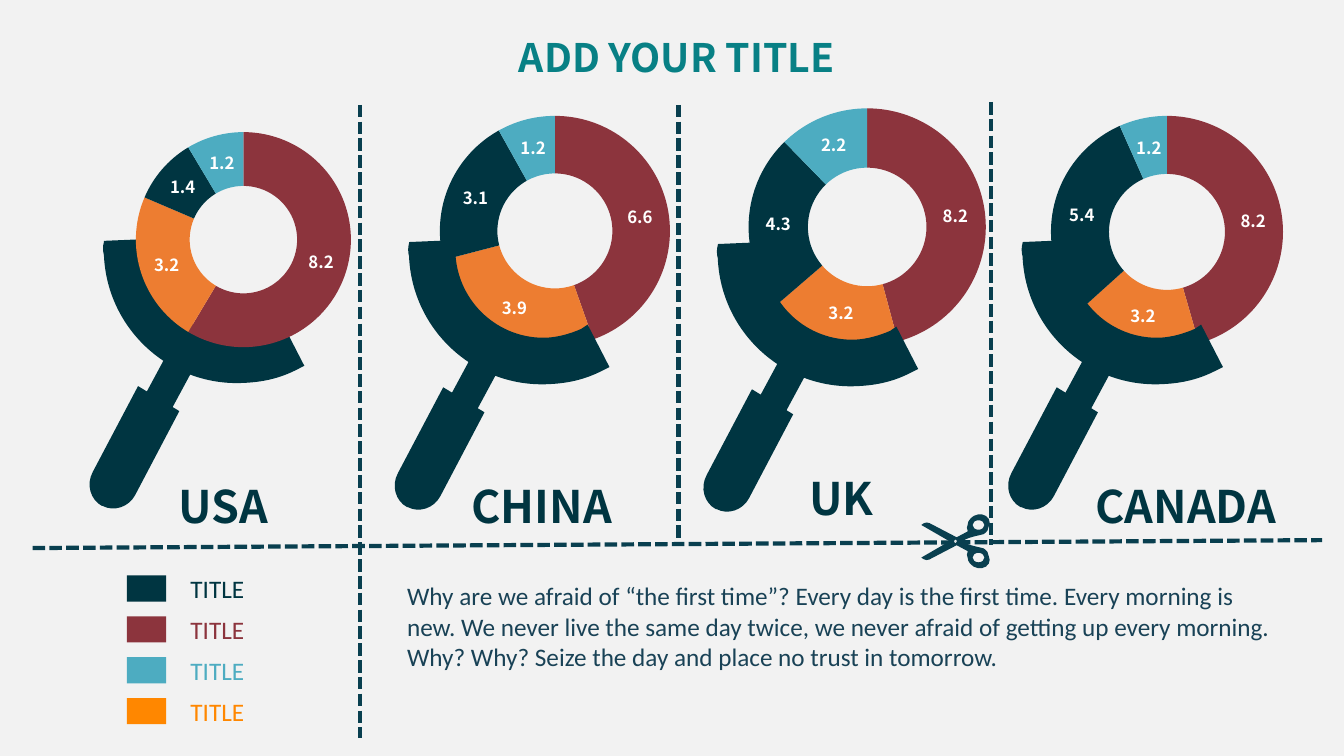
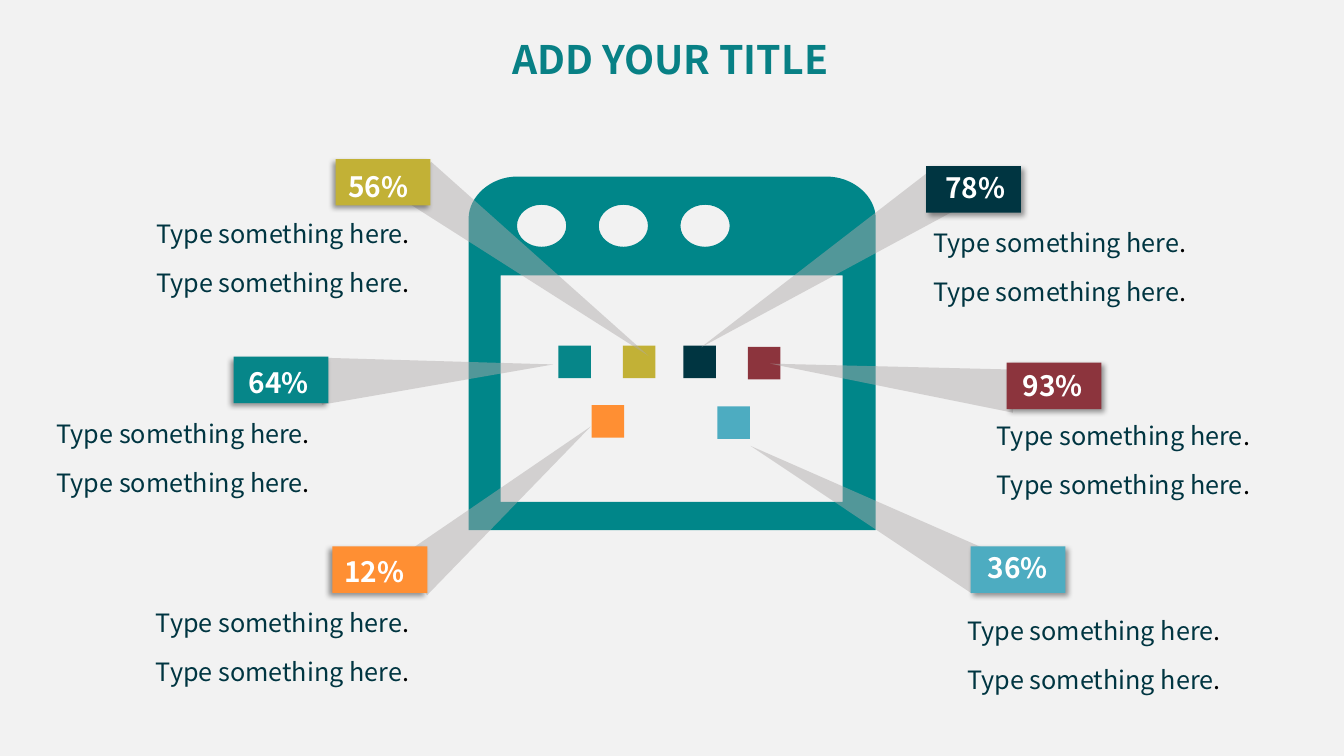
from dataclasses import dataclass

from lxml import etree
from pptx import Presentation
from pptx.chart.data import CategoryChartData
from pptx.dml.color import RGBColor
from pptx.enum.chart import XL_CHART_TYPE
from pptx.enum.dml import MSO_LINE
from pptx.enum.shapes import MSO_CONNECTOR, MSO_SHAPE
from pptx.enum.text import MSO_AUTO_SIZE
from pptx.oxml.ns import qn
from pptx.util import Cm, Pt

Point = tuple[float, float]
Box = tuple[float, float, float, float]
# A start point, then lines (two numbers) and cubic curves (six numbers).
Contour = list[tuple[float, ...]]


@dataclass(frozen=True)
class Theme:
    background: str = "F2F2F2"
    title: str = "088085"
    navy: str = "003541"
    maroon: str = "8C343D"
    sky: str = "4DACC1"
    teal: str = "068689"
    browser: str = "008689"
    ochre: str = "C2B136"
    chart_orange: str = "ED7D31"
    legend_orange: str = "FF8700"
    callout_orange: str = "FF8F33"
    cut_line: str = "093F4F"
    body: str = "194256"
    beam: str = "AFABAB"
    white: str = "FFFFFF"
    black: str = "000000"
    heading_font: str = "Noto Sans CJK SC"
    body_font: str = "Calibri"
    country_size: int = 32
    title_size: int = 28
    percent_size: int = 20
    body_size: int = 18
    value_size: int = 12
    chart_size: int = 10


THEME = Theme()


@dataclass(frozen=True)
class Country:
    name: str
    shares: tuple[float, ...]
    chart: Box
    magnifier: Point
    label: Box
    chart_in_front: bool = False


@dataclass(frozen=True)
class Callout:
    percent: str
    color: str
    badge: Point
    percent_at: Point
    caption: Point
    square: Point
    beam: Box
    beam_rotation: float
    shadow_angle: int


COUNTRIES = [
    Country("USA", (8.2, 3.2, 1.4, 1.2), (1.54, 2.98, 9.19, 6.12),
            (2.34, 6.02), (4.26, 11.94, 2.95, 1.63), chart_in_front=True),
    Country("CHINA", (6.6, 3.9, 3.1, 1.2), (9.11, 2.57, 9.75, 6.5),
            (10.03, 6.05), (11.63, 11.94, 4.42, 1.63)),
    Country("UK", (8.2, 3.2, 4.3, 2.2), (16.84, 2.38, 10.03, 6.68),
            (17.81, 6.1), (20.15, 11.73, 2.18, 1.63)),
    Country("CANADA", (8.2, 3.2, 5.4, 1.2), (24.48, 2.57, 9.86, 6.55),
            (25.49, 6.05), (27.36, 11.94, 5.72, 1.63)),
]
SHARE_COLORS = (THEME.maroon, THEME.chart_orange, THEME.navy, THEME.sky)
LEGEND_COLORS = (THEME.navy, THEME.maroon, THEME.sky, THEME.legend_orange)
CUT_LINES = [(9.07, 2.64, 9.07, 18.59), (17.1, 2.64, 17.1, 13.56),
             (24.97, 2.57, 24.97, 13.74), (0.82, 13.81, 33.32, 13.61)]
QUOTE = ("Why are we afraid of “the first time”? Every day is the first time. "
         "Every morning is new. We never live the same day twice, we never afraid "
         "of getting up every morning. Why? Why? Seize the day and place no trust "
         "in tomorrow.")
CALLOUTS = [
    Callout("36%", THEME.sky, (24.46, 13.77), (24.64, 13.74), (24.13, 15.39),
            (18.08, 10.24), (21.26, 9.5, 1.17, 6.68), 298.7, 45),
    Callout("93%", THEME.maroon, (25.37, 9.14), (25.53, 9.17), (24.87, 10.46),
            (18.85, 8.74), (21.95, 6.4, 1.09, 6.22), 276.4, 45),
    Callout("78%", THEME.navy, (23.34, 4.19), (23.57, 4.17), (23.27, 5.61),
            (17.22, 8.71), (20.14, 3.1, 1.19, 7.32), 237, 45),
    Callout("56%", THEME.ochre, (8.46, 4.01), (8.53, 4.14), (3.69, 5.38),
            (15.7, 8.71), (12.83, 3.1, 1.19, 7.32), 127.1, 135),
    Callout("64%", THEME.teal, (5.89, 8.99), (6.02, 9.09), (1.18, 10.41),
            (14.07, 8.71), (10.41, 6.45, 1.19, 5.89), 85.9, 135),
    Callout("12%", THEME.callout_orange, (8.38, 13.77), (8.43, 13.84), (3.68, 15.19),
            (14.91, 10.21), (12.04, 9.7, 1.19, 5.89), 49.9, 135),
]
CAPTION_STEP = 1.23


def ellipse(cx: float, cy: float, rx: float, ry: float) -> Contour:
    kx, ky = 0.55 * rx, 0.55 * ry
    return [(cx, cy - ry),
            (cx + kx, cy - ry, cx + rx, cy - ky, cx + rx, cy),
            (cx + rx, cy + ky, cx + kx, cy + ry, cx, cy + ry),
            (cx - kx, cy + ry, cx - rx, cy + ky, cx - rx, cy),
            (cx - rx, cy - ky, cx - kx, cy - ry, cx, cy - ry)]


def mirrored(contour: Contour) -> Contour:
    """Turn a contour upside down about y = 0."""
    return [tuple(-v if i % 2 else v for i, v in enumerate(step)) for step in contour]


HANDLE = [(1.14, 3.71), (2.18, 4.34), (1.07, 6.45),
          (0.91, 6.76, 0.53, 6.88, 0.25, 6.73), (0.23, 6.73),
          (-0.05, 6.58, -0.18, 6.2, 0, 5.87)]
LENS_RIM = [(0.28, 0.05), (1.47, 0), (1.45, 0.36),
            (1.52, 1.57, 2.54, 2.51, 3.76, 2.46),
            (4.06, 2.44, 4.34, 2.36, 4.62, 2.24),
            (4.78, 2.13), (5.33, 3.2), (5.13, 3.3),
            (4.72, 3.51, 4.29, 3.61, 3.81, 3.63),
            (1.96, 3.73, 0.36, 2.29, 0.28, 0.41),
            (0.25, 0.3, 0.25, 0.18, 0.28, 0.08)]
UPPER_BLADE = [(1.04, 0), (1.09, -0.05, 1.22, -0.1, 1.45, -0.15),
               (1.5, -0.15, 1.52, -0.15, 1.57, -0.18),
               (1.65, -0.23, 1.7, -0.3, 1.7, -0.38),
               (1.73, -0.43, 1.73, -0.51, 1.7, -0.56),
               (1.63, -0.69, 1.45, -0.71, 1.32, -0.64),
               (1.24, -0.58, 1.17, -0.51, 1.17, -0.43),
               (1.14, -0.38, 1.14, -0.3, 1.17, -0.25),
               (0.89, -0.1), (0.2, -0.46),
               (0.1, -0.51, 0, -0.41, 0, -0.41), (0.71, 0)]
FINGER_HOLE = ellipse(1.44, -0.41, 0.15, 0.12)
SCISSORS = [UPPER_BLADE, mirrored(UPPER_BLADE), FINGER_HOLE, mirrored(FINGER_HOLE),
            ellipse(0.86, 0, 0.05, 0.05)]
BROWSER = [
    [(20.83, 4.45), (13.03, 4.45), (12.37, 4.45, 11.81, 4.95, 11.81, 5.51),
     (11.81, 13.36), (22.07, 13.36), (22.07, 5.51),
     (22.07, 4.95, 21.51, 4.45, 20.83, 4.45)],
    *(ellipse(13.65 + 2.06 * i, 5.69, 0.62, 0.53) for i in range(3)),
    [(12.62, 6.94), (12.62, 12.65), (21.24, 12.65), (21.24, 6.94)],
]


def lengths(box: Box) -> list[Cm]:
    return [Cm(value) for value in box]


def paint(shape, color: str) -> None:
    shape.shadow.inherit = False
    shape.fill.solid()
    shape.fill.fore_color.rgb = RGBColor.from_string(color)
    shape.line.fill.background()


def style(font, size: int, color: str, name: str, bold: bool = False) -> None:
    font.size, font.name, font.bold = Pt(size), name, bold
    font.color.rgb = RGBColor.from_string(color)


def add_filled(slide, kind: MSO_SHAPE, box: Box, color: str, rotation: float = 0):
    shape = slide.shapes.add_shape(kind, *lengths(box))
    paint(shape, color)
    shape.rotation = rotation
    return shape


def add_outline(slide, contours: list[Contour], color: str, origin: Point = (0, 0)) -> None:
    """Draw one shape, joining the three points of each curve into a cubic segment."""
    left, top = origin
    builder = None
    for contour in contours:
        points = [(Cm(left + step[i]), Cm(top + step[i + 1]))
                  for step in contour for i in range(0, len(step), 2)]
        if builder is None:
            builder = slide.shapes.build_freeform(*points[0])
        else:
            builder.move_to(*points[0])
        builder.add_line_segments(points[1:], close=True)
    shape = builder.convert_to_shape()
    segments = iter(list(shape.element.iter(qn("a:lnTo"))))
    for step in (step for contour in contours for step in contour[1:]):
        first, *others = [next(segments) for _ in range(len(step) // 2)]
        if others:
            first.tag = qn("a:cubicBezTo")
        for other in others:
            first.append(other[0])
            other.getparent().remove(other)
    paint(shape, color)


def add_text(slide, box: Box, text: str, size: int, color: str, font: str,
             bold: bool = False, wrap: bool = False):
    frame = slide.shapes.add_textbox(*lengths(box)).text_frame
    frame.word_wrap = wrap
    frame.auto_size = MSO_AUTO_SIZE.SHAPE_TO_FIT_TEXT
    frame.text = text
    style(frame.paragraphs[0].runs[0].font, size, color, font, bold)
    return frame.paragraphs[0]


def add_title(slide, left: float, top: float) -> None:
    add_text(slide, (left, top, 9.04, 1.45), "ADD YOUR TITLE",
             THEME.title_size, THEME.title, THEME.heading_font, bold=True)


def add_doughnut(slide, country: Country) -> None:
    data = CategoryChartData()
    data.categories = ["1", "2", "3", "4"]
    data.add_series("Series 1", country.shares)
    chart = slide.shapes.add_chart(XL_CHART_TYPE.DOUGHNUT, *lengths(country.chart), data).chart
    chart.has_legend = chart.has_title = False
    style(chart.font, THEME.chart_size, THEME.black, THEME.body_font)
    plot = chart.plots[0]
    plot.vary_by_categories = True
    for hole in chart.element.iter(qn("c:holeSize")):
        hole.set("val", "55")
    plot.has_data_labels = True
    labels = plot.data_labels
    labels.show_value, labels.show_percentage = True, False
    style(labels.font, THEME.value_size, THEME.white, THEME.heading_font, bold=True)
    for index, color in enumerate(SHARE_COLORS):
        look = plot.series[0].points[index].format
        look.fill.solid()
        look.fill.fore_color.rgb = RGBColor.from_string(color)
        look.line.fill.background()


def add_magnifier(slide, country: Country) -> None:
    left, top = country.magnifier
    add_outline(slide, [HANDLE], THEME.navy, country.magnifier)
    add_filled(slide, MSO_SHAPE.RECTANGLE, (left + 1.5, top + 3.15, 0.76, 1.07),
               THEME.navy, 28.3)
    add_outline(slide, [LENS_RIM], THEME.navy, country.magnifier)


def add_cut_line(slide, ends: Box) -> None:
    cut = slide.shapes.add_connector(MSO_CONNECTOR.STRAIGHT, *lengths(ends))
    cut.line.color.rgb = RGBColor.from_string(THEME.cut_line)
    cut.line.width = Pt(3)
    cut.line.dash_style = MSO_LINE.SQUARE_DOT
    etree.SubElement(cut.element.spPr, qn("a:effectLst"))


def add_beam(slide, callout: Callout) -> None:
    beam = add_filled(slide, MSO_SHAPE.ISOSCELES_TRIANGLE, callout.beam,
                      THEME.beam, callout.beam_rotation)
    color = beam.element.spPr.find(qn("a:solidFill"))[0]
    etree.SubElement(color, qn("a:alpha"), val="47000")


def add_badge(slide, callout: Callout) -> None:
    badge = add_filled(slide, MSO_SHAPE.RECTANGLE, (*callout.badge, 2.39, 1.17), callout.color)
    effects = badge.element.spPr.find(qn("a:effectLst"))
    shadow = etree.SubElement(effects, qn("a:outerShdw"), blurRad=str(Pt(4)), dist=str(Pt(3)),
                              dir=str(callout.shadow_angle * 60000), rotWithShape="0")
    color = etree.SubElement(shadow, qn("a:srgbClr"), val=THEME.black)
    etree.SubElement(color, qn("a:alpha"), val="40000")


def add_callout_text(slide, callout: Callout) -> None:
    left, top = callout.caption
    for row in range(2):
        line = add_text(slide, (left, top + CAPTION_STEP * row, 7.14, 1.02),
                        "Type something here", THEME.body_size, THEME.navy,
                        THEME.heading_font)
        stop = line.add_run()
        stop.text = "."
        style(stop.font, THEME.body_size, THEME.black, THEME.heading_font)
    add_text(slide, (*callout.percent_at, 2.06, 1.12), callout.percent,
             THEME.percent_size, THEME.white, THEME.heading_font, bold=True)


def build_countries_slide(slide) -> None:
    add_title(slide, 12.83, 0.71)
    for country in COUNTRIES:
        layers = [add_doughnut, add_magnifier]
        for add_layer in reversed(layers) if country.chart_in_front else layers:
            add_layer(slide, country)
    for ends in CUT_LINES:
        add_cut_line(slide, ends)
    for country in COUNTRIES:
        add_text(slide, country.label, country.name, THEME.country_size, THEME.navy,
                 THEME.heading_font, bold=True)
    for row, color in enumerate(LEGEND_COLORS):
        top = 14.5 + 1.03 * row
        add_filled(slide, MSO_SHAPE.RECTANGLE, (3.2, top, 0.99, 0.66), color)
        add_text(slide, (4.55, top - 0.17, 2.26, 1.02), "TITLE", THEME.body_size, color,
                 THEME.body_font, wrap=True)
    add_outline(slide, SCISSORS, THEME.cut_line, (23.22, 13.64))
    add_text(slide, (10.01, 14.51, 22.45, 2.57), QUOTE, THEME.body_size, THEME.body,
             THEME.body_font, wrap=True)


def build_callouts_slide(slide) -> None:
    add_outline(slide, BROWSER, THEME.browser)
    for callout in CALLOUTS:
        add_filled(slide, MSO_SHAPE.RECTANGLE, (*callout.square, 0.82, 0.82), callout.color)
    for callout in CALLOUTS:
        add_beam(slide, callout)
        add_badge(slide, callout)
    add_title(slide, 12.67, 0.76)
    for callout in CALLOUTS:
        add_callout_text(slide, callout)


def main() -> None:
    prs = Presentation()
    prs.slide_width, prs.slide_height = Cm(33.87), Cm(19.05)
    backdrop = prs.slide_master.background.fill
    backdrop.solid()
    backdrop.fore_color.rgb = RGBColor.from_string(THEME.background)
    for build in (build_countries_slide, build_callouts_slide):
        build(prs.slides.add_slide(prs.slide_layouts[6]))
    prs.save("out.pptx")


if __name__ == "__main__":
    main()
